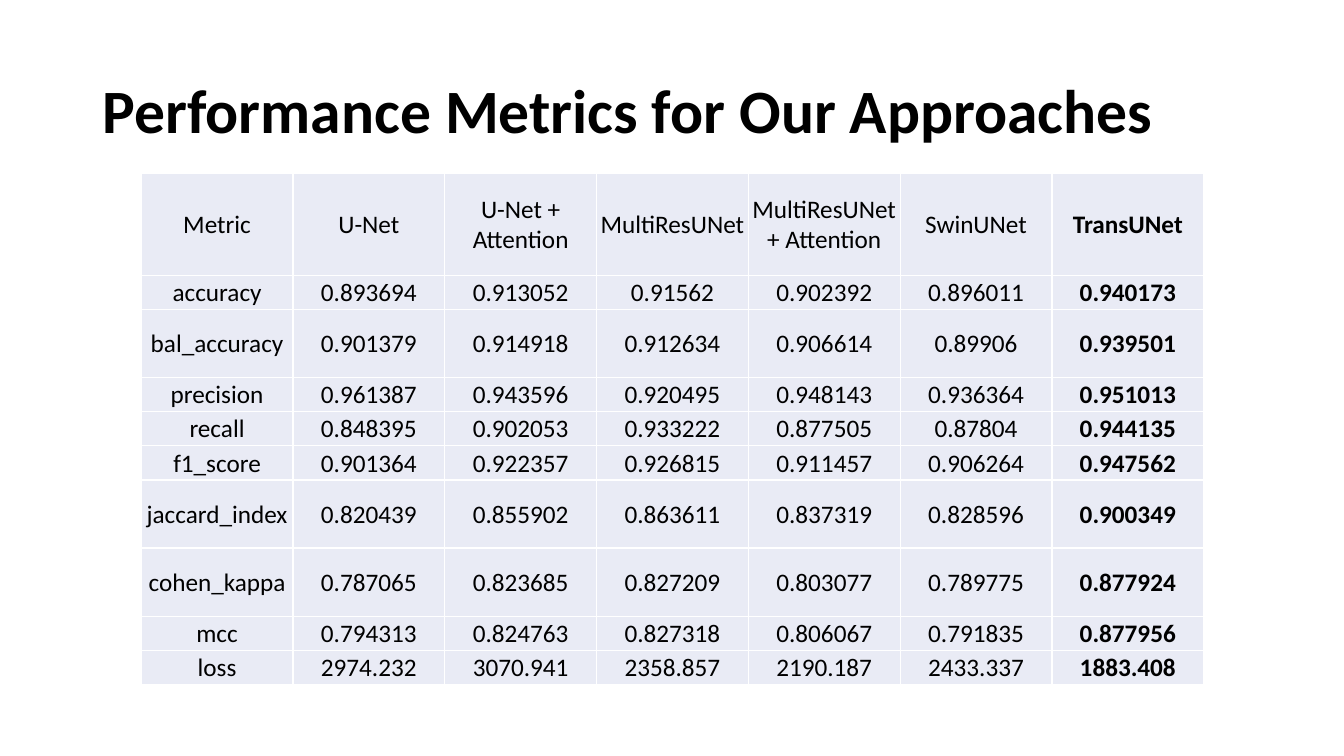
"""Build a slide with a table of performance metrics for segmentation models."""
from lxml import etree
from pptx import Presentation
from pptx.dml.color import RGBColor
from pptx.enum.text import MSO_ANCHOR, PP_ALIGN
from pptx.oxml.ns import qn
from pptx.util import Inches, Pt

MIDDLE = MSO_ANCHOR.MIDDLE
LEFT, CENTER = PP_ALIGN.LEFT, PP_ALIGN.CENTER
FONT, INK, CELL_FILL, BORDER = "Calibri", "000000", "E9EBF5", "FFFFFF"

TITLE = "Performance Metrics for Our Approaches"
MODELS = ("Metric", "U-Net", "U-Net + Attention", "MultiResUNet",
          "MultiResUNet + Attention", "SwinUNet", "TransUNet")
SCORES = [
    ("accuracy", "0.893694", "0.913052", "0.91562", "0.902392", "0.896011", "0.940173"),
    ("bal_accuracy", "0.901379", "0.914918", "0.912634", "0.906614", "0.89906", "0.939501"),
    ("precision", "0.961387", "0.943596", "0.920495", "0.948143", "0.936364", "0.951013"),
    ("recall", "0.848395", "0.902053", "0.933222", "0.877505", "0.87804", "0.944135"),
    ("f1_score", "0.901364", "0.922357", "0.926815", "0.911457", "0.906264", "0.947562"),
    ("jaccard_index", "0.820439", "0.855902", "0.863611", "0.837319", "0.828596", "0.900349"),
    ("cohen_kappa", "0.787065", "0.823685", "0.827209", "0.803077", "0.789775", "0.877924"),
    ("mcc", "0.794313", "0.824763", "0.827318", "0.806067", "0.791835", "0.877956"),
    ("loss", "2974.232", "3070.941", "2358.857", "2190.187", "2433.337", "1883.408"),
]
ROW_UNITS = (3, 1, 2, 1, 1, 1, 2, 2, 1, 1)
TABLE_LEFT, TABLE_TOP, TABLE_WIDTH, TABLE_HEIGHT = 1.4, 1.72, 10.54, 5.07


def color(code):
    return RGBColor.from_string(code)


def write(frame, wording, size, bold, align):
    paragraph = frame.paragraphs[0]
    paragraph.text = wording
    paragraph.alignment = align
    font = paragraph.font
    font.name, font.size, font.bold = FONT, Pt(size), bold
    font.color.rgb = color(INK)
    return paragraph


def add_borders(cell):
    properties = cell._tc.get_or_add_tcPr()
    for side in ("a:lnL", "a:lnR", "a:lnT", "a:lnB"):
        line = etree.SubElement(properties, qn(side), w=str(Pt(1)))
        solid = etree.SubElement(line, qn("a:solidFill"))
        etree.SubElement(solid, qn("a:srgbClr"), val=BORDER)


def add_title(slide):
    title = slide.shapes.add_textbox(Inches(0.92), Inches(0.4), Inches(11.5), Inches(1.45))
    title.text_frame.word_wrap = True
    title.text_frame.vertical_anchor = MIDDLE
    write(title.text_frame, TITLE, 44, True, LEFT).line_spacing = 0.9


def add_metrics(slide):
    rows = [MODELS, *SCORES]
    metrics = slide.shapes.add_table(
        len(rows), len(MODELS), Inches(TABLE_LEFT), Inches(TABLE_TOP),
        Inches(TABLE_WIDTH), Inches(TABLE_HEIGHT)).table
    metrics.first_row = metrics.horz_banding = False
    for column in metrics.columns:
        column.width = Inches(TABLE_WIDTH / len(MODELS))
    for row, units in zip(metrics.rows, ROW_UNITS):
        row.height = Inches(TABLE_HEIGHT * units / sum(ROW_UNITS))
    for r, entries in enumerate(rows):
        for c, entry in enumerate(entries):
            cell = metrics.cell(r, c)
            add_borders(cell)
            cell.fill.solid()
            cell.fill.fore_color.rgb = color(CELL_FILL)
            cell.margin_left = cell.margin_right = cell.margin_top = Inches(0.01)
            cell.margin_bottom = 0
            cell.vertical_anchor = MIDDLE
            write(cell.text_frame, entry, 18, c == len(MODELS) - 1, CENTER)


def main():
    deck = Presentation()
    deck.slide_width, deck.slide_height = Inches(13.33), Inches(7.5)
    slide = deck.slides.add_slide(deck.slide_layouts[6])
    add_title(slide)
    add_metrics(slide)
    deck.save("out.pptx")


if __name__ == "__main__":
    main()
